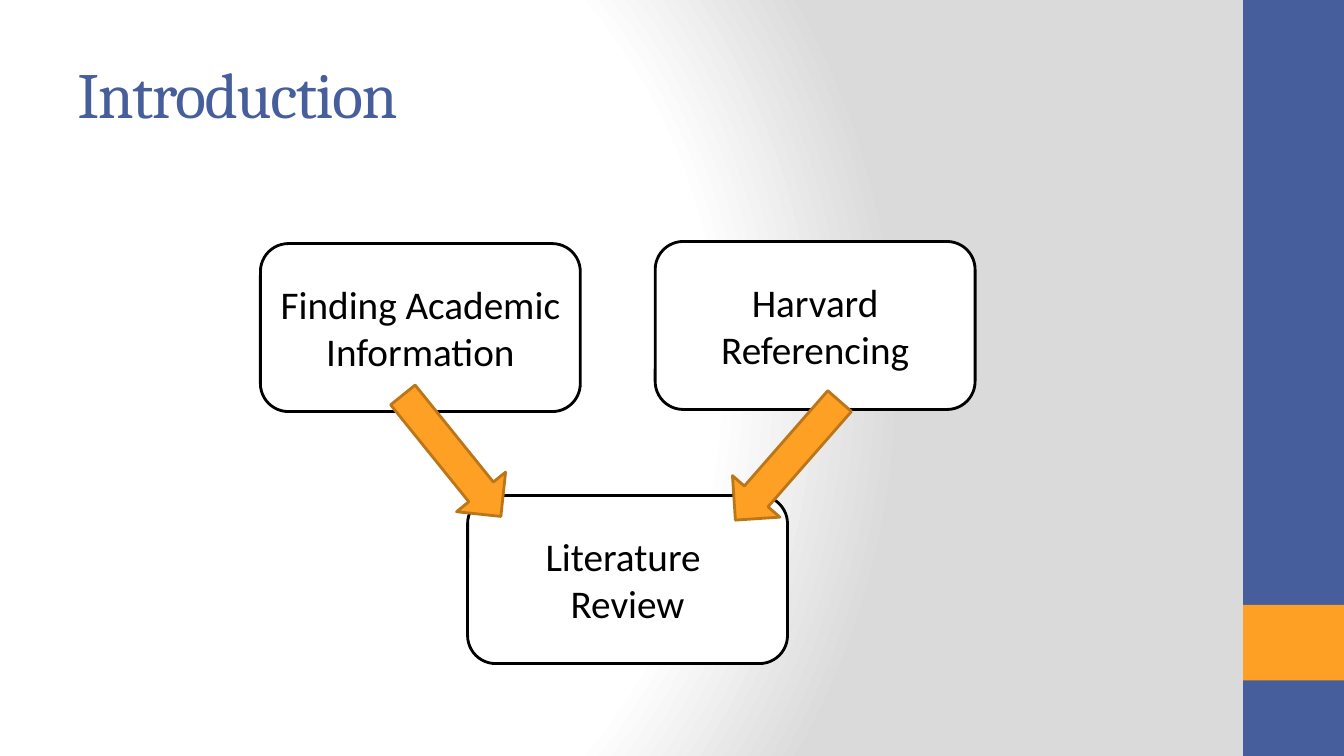
from lxml.etree import fromstring
from pptx import Presentation
from pptx.dml.color import RGBColor
from pptx.enum.shapes import MSO_SHAPE
from pptx.enum.text import MSO_ANCHOR, MSO_AUTO_SIZE, PP_ALIGN
from pptx.util import Pt

BLUE, ORANGE, BROWN = "465E9C", "FDA023", "BB761A"
BLACK, WHITE, GREY = "000000", "FFFFFF", "DADADA"
SLIDE_WIDTH, SLIDE_HEIGHT = 960, 540
BAND_WIDTH = 72
TOPIC_WIDTH, TOPIC_HEIGHT = 228.5, 120

HEADING = "Introduction"
BANDS = [(0, SLIDE_HEIGHT, BLUE), (432, 54, ORANGE)]
TOPICS = [
    (["Finding Academic Information"], 186, 174),
    (["Harvard Referencing"], 468, 172.5),
    (["Literature ", "Review"], 334, 354),
]
ARROWS = [
    (267, 303, 111.5, 45, 51.1),
    (506, 306.5, 113, 45, 131.2),
]
BACKGROUND = f"""
<p:bg xmlns:p="http://schemas.openxmlformats.org/presentationml/2006/main"
      xmlns:a="http://schemas.openxmlformats.org/drawingml/2006/main">
  <p:bgPr>
    <a:gradFill rotWithShape="1">
      <a:gsLst>
        <a:gs pos="0"><a:srgbClr val="{WHITE}"/></a:gs>
        <a:gs pos="75000"><a:srgbClr val="{WHITE}"/></a:gs>
        <a:gs pos="100000"><a:srgbClr val="{GREY}"/></a:gs>
      </a:gsLst>
      <a:path path="circle">
        <a:fillToRect l="20000" t="50000" r="100000" b="50000"/>
      </a:path>
    </a:gradFill>
    <a:effectLst/>
  </p:bgPr>
</p:bg>"""


def color(value):
    return RGBColor.from_string(value)


def add_block(slide, preset, left, top, width, height, fill, outline=None):
    block = slide.shapes.add_shape(preset, Pt(left), Pt(top), Pt(width), Pt(height))
    block.shadow.inherit = False
    block.fill.solid()
    block.fill.fore_color.rgb = color(fill)
    if outline:
        block.line.color.rgb = color(outline)
        block.line.width = Pt(2)
    else:
        block.line.fill.background()
    return block


def add_run(paragraph, text, font_name, size, text_color):
    run = paragraph.add_run()
    run.text = text
    run.font.name = font_name
    run.font.size = Pt(size)
    run.font.color.rgb = color(text_color)
    return run


def add_heading(slide):
    heading = slide.shapes.title
    heading.left, heading.top = Pt(48), Pt(21.6)
    heading.width, heading.height = Pt(800), Pt(90)
    frame = heading.text_frame
    frame.auto_size = MSO_AUTO_SIZE.NONE
    frame.vertical_anchor = MSO_ANCHOR.MIDDLE
    paragraph = frame.paragraphs[0]
    paragraph.alignment = PP_ALIGN.LEFT
    run = add_run(paragraph, HEADING, "Cambria", 46, BLUE)
    run.font._element.set("spc", "-100")


def add_topic(slide, lines, left, top):
    topic = add_block(slide, MSO_SHAPE.ROUNDED_RECTANGLE, left, top,
                      TOPIC_WIDTH, TOPIC_HEIGHT, WHITE, BLACK)
    frame = topic.text_frame
    frame.word_wrap = True
    frame.vertical_anchor = MSO_ANCHOR.MIDDLE
    for index, line in enumerate(lines):
        paragraph = frame.add_paragraph() if index else frame.paragraphs[0]
        paragraph.alignment = PP_ALIGN.CENTER
        add_run(paragraph, line, "Calibri", 28, BLACK)


def main():
    deck = Presentation()
    deck.slide_width, deck.slide_height = Pt(SLIDE_WIDTH), Pt(SLIDE_HEIGHT)
    slide = deck.slides.add_slide(deck.slide_layouts[5])
    slide.element.cSld.insert(0, fromstring(BACKGROUND))
    for top, height, fill in BANDS:
        add_block(slide, MSO_SHAPE.RECTANGLE, SLIDE_WIDTH - BAND_WIDTH, top,
                  BAND_WIDTH, height, fill)
    add_heading(slide)
    for lines, left, top in TOPICS:
        add_topic(slide, lines, left, top)
    for left, top, width, height, angle in ARROWS:
        arrow = add_block(slide, MSO_SHAPE.RIGHT_ARROW, left, top, width, height,
                          ORANGE, BROWN)
        arrow.rotation = angle
    deck.save("out.pptx")


if __name__ == "__main__":
    main()
